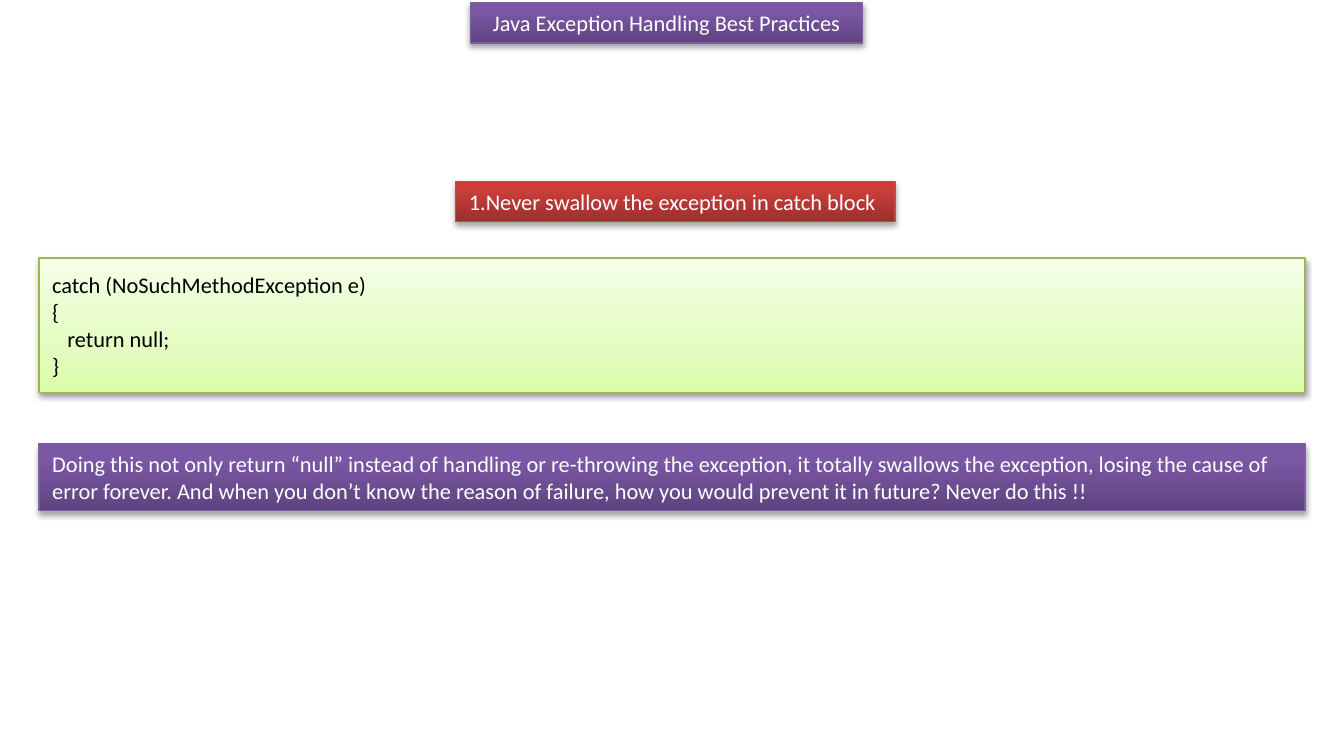
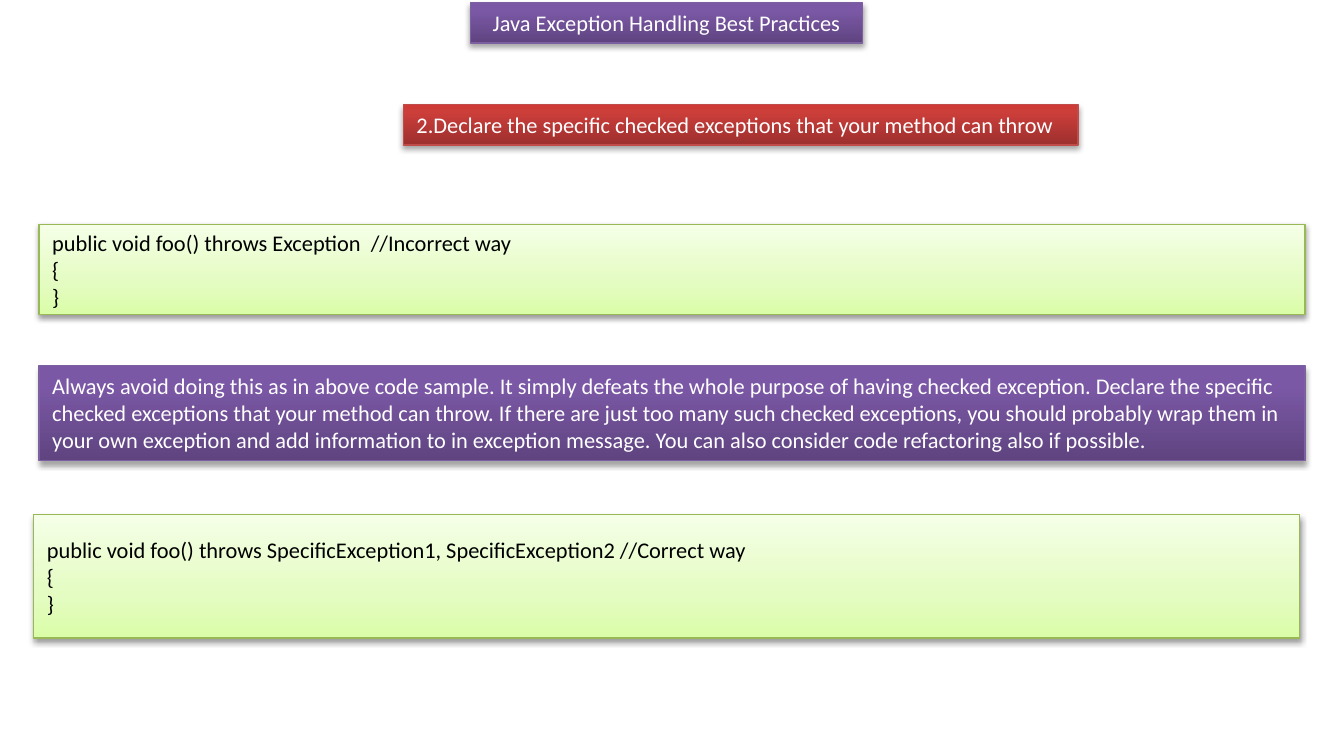
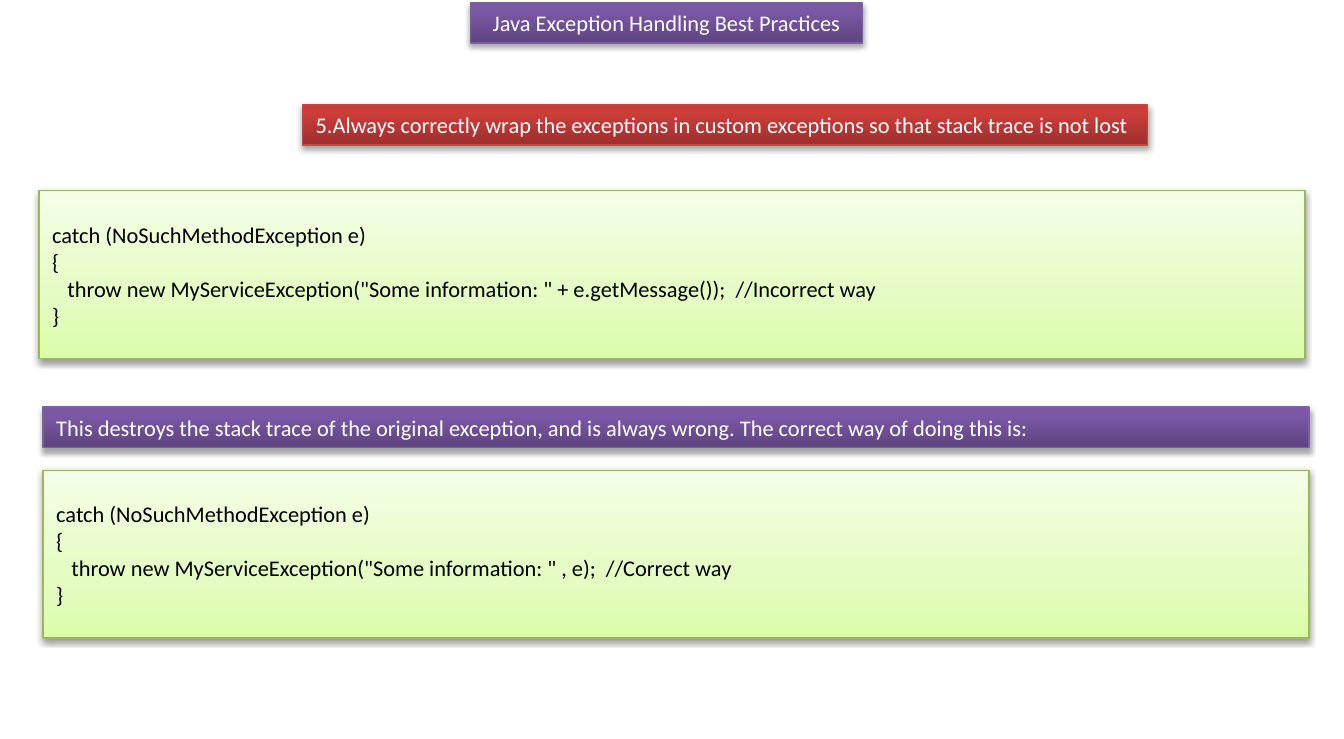
from dataclasses import dataclass

import lxml.etree
import pptx
import pptx.dml.color
import pptx.enum.shapes
import pptx.enum.text
import pptx.oxml.ns
import pptx.presentation
import pptx.slide
import pptx.util
from pptx.util import Inches

Align = pptx.enum.text.PP_ALIGN
Anchor = pptx.enum.text.MSO_ANCHOR
AutoSize = pptx.enum.text.MSO_AUTO_SIZE


@dataclass(frozen=True)
class PanelStyle:
    """Look of a panel; gradient stops run from bottom to top."""
    stops: tuple[tuple[int, str], ...]
    line: str
    text: str
    shadow_opacity: int
    shadow_distance: float
    anchor: Anchor = Anchor.TOP
    auto_size: AutoSize = AutoSize.SHAPE_TO_FIT_TEXT
    wrap: bool = True
    align: Align = Align.LEFT


PURPLE = ((0, "5F4480"), (80, "7B58A6"), (100, "7C57A8"))
RED = ((0, "9C2F2D"), (80, "CB3E3A"), (100, "CE3B37"))
GREEN = ((0, "DAFDA7"), (35, "E4FCC2"), (100, "F5FFE7"))


@dataclass(frozen=True)
class Theme:
    font: str = "Calibri"
    text_size: float = 12
    line_width: float = 0.75
    shadow: str = "000000"
    shadow_blur: float = 3.1
    title: PanelStyle = PanelStyle(PURPLE, "7D60A0", "FFFFFF", 35, 1.8, align=Align.CENTER)
    note: PanelStyle = PanelStyle(PURPLE, "7D60A0", "FFFFFF", 35, 1.8)
    rule: PanelStyle = PanelStyle(RED, "BF4C48", "FFFFFF", 35, 1.8, wrap=False)
    code: PanelStyle = PanelStyle(GREEN, "98B955", "000000", 38, 1.6,
                                  anchor=Anchor.MIDDLE, auto_size=AutoSize.NONE)


THEME = Theme()
SLIDE_WIDTH, SLIDE_HEIGHT = 10, 5.5
BODY_LEFT, BODY_WIDTH = 0.29, 9.42
LINE_PANEL_HEIGHT = 0.3


@dataclass(frozen=True)
class Panel:
    style: PanelStyle
    lines: tuple[str, ...]
    top: float
    height: float = LINE_PANEL_HEIGHT
    left: float = BODY_LEFT
    width: float = BODY_WIDTH


TITLE = Panel(THEME.title, ("Java Exception Handling Best Practices",),
              top=0.02, left=3.5, width=2.92)

PRACTICES = (
    (
        Panel(THEME.code, ("catch (NoSuchMethodException e)", "{", "   return null;", "}"),
              top=1.92, height=1),
        Panel(THEME.rule, ("1.Never swallow the exception in catch block",),
              top=1.35, left=3.39, width=3.27),
        Panel(THEME.note, (
            "Doing this not only return “null” instead of handling or re-throwing the exception, "
            "it totally swallows the exception, losing the cause of error forever. And when you "
            "don’t know the reason of failure, how you would prevent it in future? "
            "Never do this !!",), top=3.3, height=0.5),
    ),
    (
        Panel(THEME.code, ("public void foo() throws Exception  //Incorrect way", "{", "}"),
              top=1.67, height=0.67),
        Panel(THEME.rule,
              ("2.Declare the specific checked exceptions that your method can throw",),
              top=0.78, left=3, width=5.02),
        Panel(THEME.note, (
            "Always avoid doing this as in above code sample. It simply defeats the whole purpose "
            "of having checked exception. Declare the specific checked exceptions that your method "
            "can throw. If there are just too many such checked exceptions, you should probably "
            "wrap them in your own exception and add information to in exception message. You can "
            "also consider code refactoring also if possible.",), top=2.72, height=0.71),
        Panel(THEME.code,
              ("public void foo() throws SpecificException1, SpecificException2 //Correct way",
               "{", "}"), top=3.83, height=0.92, left=0.25),
    ),
    (
        Panel(THEME.code, (
            "catch (NoSuchMethodException e)", "{",
            '   throw new MyServiceException("Some information: " + e.getMessage());'
            "  //Incorrect way", "}"), top=1.42, height=1.25),
        Panel(THEME.rule, (
            "5.Always correctly wrap the exceptions in custom exceptions so that stack trace "
            "is not lost",), top=0.78, left=2.25, width=6.29),
        Panel(THEME.note, (
            "This destroys the stack trace of the original exception, and is always wrong. "
            "The correct way of doing this is:",), top=3.03, left=0.32),
        Panel(THEME.code, (
            "catch (NoSuchMethodException e)", "{",
            '   throw new MyServiceException("Some information: " , e);  //Correct way', "}"),
              top=3.5, height=1.25, left=0.32),
    ),
)


def rgb(color: str) -> pptx.dml.color.RGBColor:
    return pptx.dml.color.RGBColor.from_string(color)


def add_element(parent: lxml.etree.ElementBase, tag: str, **attributes: object):
    return lxml.etree.SubElement(parent, pptx.oxml.ns.qn(tag),
                                 {name: str(value) for name, value in attributes.items()})


def fill_gradient(shape, stops: tuple[tuple[int, str], ...]) -> None:
    shape.fill.gradient()
    shape.fill.gradient_angle = 90
    stop_list = shape.element.spPr.find(".//" + pptx.oxml.ns.qn("a:gsLst"))
    for default_stop in list(stop_list):
        stop_list.remove(default_stop)
    for position, color in stops:
        stop = add_element(stop_list, "a:gs", pos=position * 1000)
        add_element(stop, "a:srgbClr", val=color)


def cast_shadow(shape, style: PanelStyle) -> None:
    shape.shadow.inherit = False
    effects = shape.element.spPr.find(pptx.oxml.ns.qn("a:effectLst"))
    shadow = add_element(effects, "a:outerShdw",
                         blurRad=int(pptx.util.Pt(THEME.shadow_blur)),
                         dist=int(pptx.util.Pt(style.shadow_distance)),
                         dir=90 * 60000, rotWithShape=0)
    color = add_element(shadow, "a:srgbClr", val=THEME.shadow)
    add_element(color, "a:alpha", val=style.shadow_opacity * 1000)


def write_lines(shape, panel: Panel) -> None:
    style = panel.style
    frame = shape.text_frame
    frame.word_wrap = style.wrap
    frame.auto_size = style.auto_size
    frame.vertical_anchor = style.anchor
    for index, line in enumerate(panel.lines):
        paragraph = frame.add_paragraph() if index else frame.paragraphs[0]
        paragraph.alignment = style.align
        run = paragraph.add_run()
        run.text = line
        run.font.name = THEME.font
        run.font.size = pptx.util.Pt(THEME.text_size)
        run.font.color.rgb = rgb(style.text)


def draw_panel(slide: pptx.slide.Slide, panel: Panel) -> None:
    shape = slide.shapes.add_shape(
        pptx.enum.shapes.MSO_SHAPE.RECTANGLE,
        Inches(panel.left), Inches(panel.top), Inches(panel.width), Inches(panel.height))
    fill_gradient(shape, panel.style.stops)
    shape.line.color.rgb = rgb(panel.style.line)
    shape.line.width = pptx.util.Pt(THEME.line_width)
    cast_shadow(shape, panel.style)
    write_lines(shape, panel)


def add_practice_slide(presentation: pptx.presentation.Presentation,
                       panels: tuple[Panel, ...]) -> None:
    slide = presentation.slides.add_slide(presentation.slide_layouts[6])
    for panel in (TITLE, *panels):
        draw_panel(slide, panel)


def main() -> None:
    presentation = pptx.Presentation()
    presentation.slide_width = Inches(SLIDE_WIDTH)
    presentation.slide_height = Inches(SLIDE_HEIGHT)
    for panels in PRACTICES:
        add_practice_slide(presentation, panels)
    presentation.save("out.pptx")


if __name__ == "__main__":
    main()
